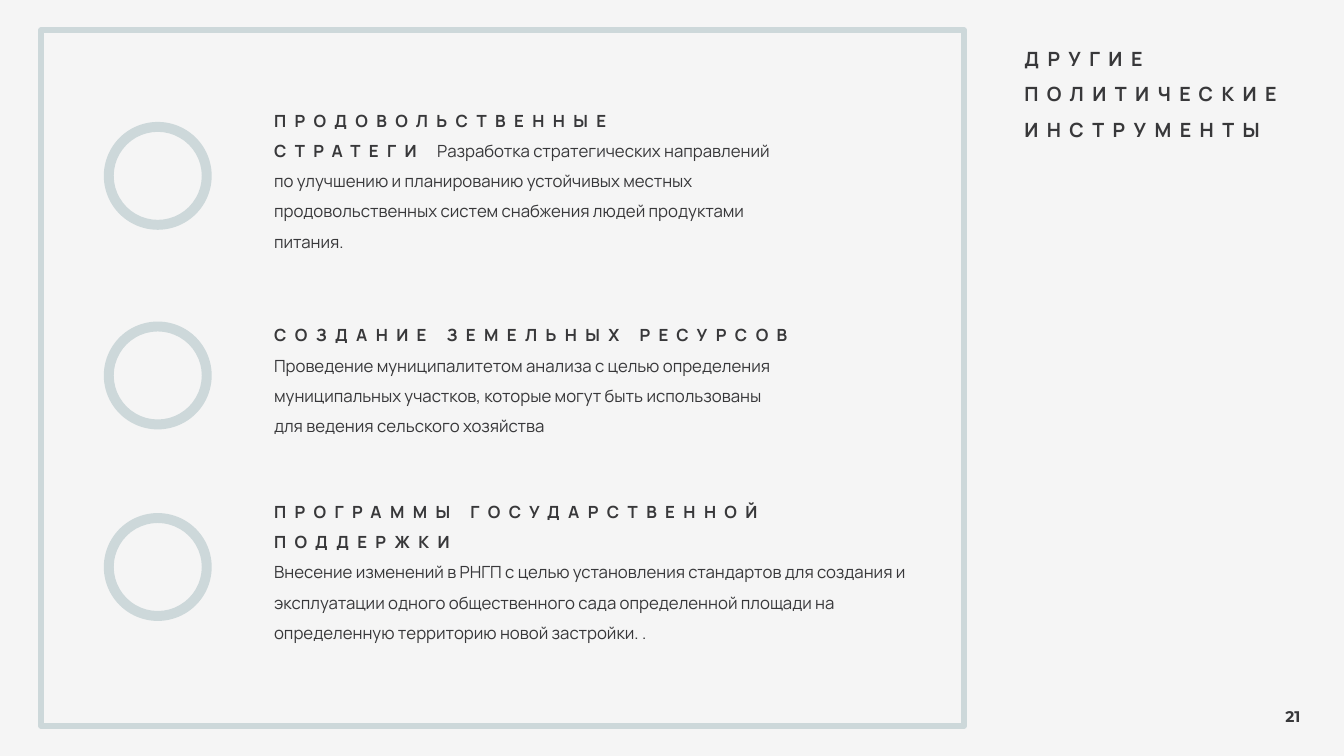
from pptx import Presentation
from pptx.dml.color import RGBColor
from pptx.enum.shapes import MSO_SHAPE as SHAPE
from pptx.enum.text import MSO_ANCHOR as ANCHOR, MSO_AUTO_SIZE as AUTO, PP_ALIGN as ALIGN
from pptx.util import Inches, Pt

BACKGROUND, ACCENT, INK = "F5F5F5", "CDD8DA", "38383A"

# top, text width, heading, description, whether both share one paragraph
TOOLS = [
    (1.09, 5.13, "ПРОДОВОЛЬСТВЕННЫЕ СТРАТЕГИ ",
     "Разработка стратегических направлений по улучшению и планированию устойчивых "
     "местных продовольственных систем снабжения людей продуктами питания.", True),
    (3.07, 5.3, "СОЗДАНИЕ ЗЕМЕЛЬНЫХ РЕСУРСОВ",
     "Проведение муниципалитетом анализа с целью определения муниципальных участков, "
     "которые могут быть использованы для ведения сельского хозяйства", False),
    (4.97, 6.84, "ПРОГРАММЫ ГОСУДАРСТВЕННОЙ ПОДДЕРЖКИ",
     "Внесение изменений в РНГП с целью установления стандартов для создания и "
     "эксплуатации одного общественного сада определенной площади на определенную "
     "территорию новой застройки. .", False),
]


def rgb(value):
    return RGBColor.from_string(value)


def format_run(r, size, bold=False, spacing=0, font="Manrope"):
    """Style a run; spacing is the gap between letters in points."""
    r.font.name, r.font.size, r.font.bold = font, Pt(size), bold
    r.font.color.rgb = rgb(INK)
    if spacing:
        r.font._element.set("spc", str(spacing * 100))


def add_frame(slide, left, top, width, height):
    sp = slide.shapes.add_shape(SHAPE.RECTANGLE, Inches(left), Inches(top),
                                Inches(width), Inches(height))
    sp.shadow.inherit = False
    sp.fill.background()
    sp.line.color.rgb = rgb(ACCENT)
    sp.line.width = Pt(4.5)


def add_title(slide, left, top, width, height):
    sp = slide.shapes.title
    sp.left, sp.top = Inches(left), Inches(top)
    sp.width, sp.height = Inches(width), Inches(height)
    tf = sp.text_frame
    tf.text = "ДРУГИЕ ПОЛИТИЧЕСКИЕ ИНСТРУМЕНТЫ"
    tf.word_wrap, tf.auto_size = True, AUTO.SHAPE_TO_FIT_TEXT
    tf.vertical_anchor = ANCHOR.TOP
    p = tf.paragraphs[0]
    p.alignment, p.line_spacing = ALIGN.JUSTIFY, 1.5
    p.space_before = Pt(0)
    format_run(p.runs[0], 14, bold=True, spacing=6)


def add_tool(slide, left, top, text_width, heading, description, inline):
    """Group a ring with the heading and description to its right."""
    shapes = slide.shapes.add_group_shape().shapes
    box = shapes.add_textbox(Inches(left + 1.59), Inches(top),
                             Inches(text_width), Inches(1.31))
    tf = box.text_frame
    tf.word_wrap, tf.auto_size = True, AUTO.SHAPE_TO_FIT_TEXT
    tf.vertical_anchor = ANCHOR.MIDDLE
    tf.text = heading
    p = tf.paragraphs[0]
    format_run(p.runs[0], 12, bold=True, spacing=6)
    if not inline:
        p = tf.add_paragraph()
    r = p.add_run()
    r.text = description
    format_run(r, 12)
    for p in tf.paragraphs:
        p.line_spacing = 1.5

    ring = shapes.add_shape(SHAPE.DONUT, Inches(left), Inches(top + 0.12),
                            Inches(1.07), Inches(1.07))
    ring.adjustments[0] = 0.092
    ring.shadow.inherit = False
    ring.fill.solid()
    ring.fill.fore_color.rgb = rgb(ACCENT)
    ring.line.fill.background()


def add_page_number(slide, left, top, width, height):
    box = slide.shapes.add_textbox(Inches(left), Inches(top), Inches(width), Inches(height))
    tf = box.text_frame
    tf.text = "21"
    tf.word_wrap, tf.auto_size = False, AUTO.SHAPE_TO_FIT_TEXT
    format_run(tf.paragraphs[0].runs[0], 11, bold=True, font="Montserrat")


def main():
    prs = Presentation()
    prs.slide_width, prs.slide_height = Inches(13.33), Inches(7.5)
    slide = prs.slides.add_slide(prs.slide_layouts[5])
    slide.background.fill.solid()
    slide.background.fill.fore_color.rgb = rgb(BACKGROUND)
    add_title(slide, 10.06, 0.3, 3.69, 1.16)
    add_frame(slide, 0.41, 0.3, 9.15, 6.9)
    for tool in TOOLS:
        add_tool(slide, 1.03, *tool)
    add_page_number(slide, 12.65, 6.97, 0.41, 0.29)
    prs.save("out.pptx")


if __name__ == "__main__":
    main()
